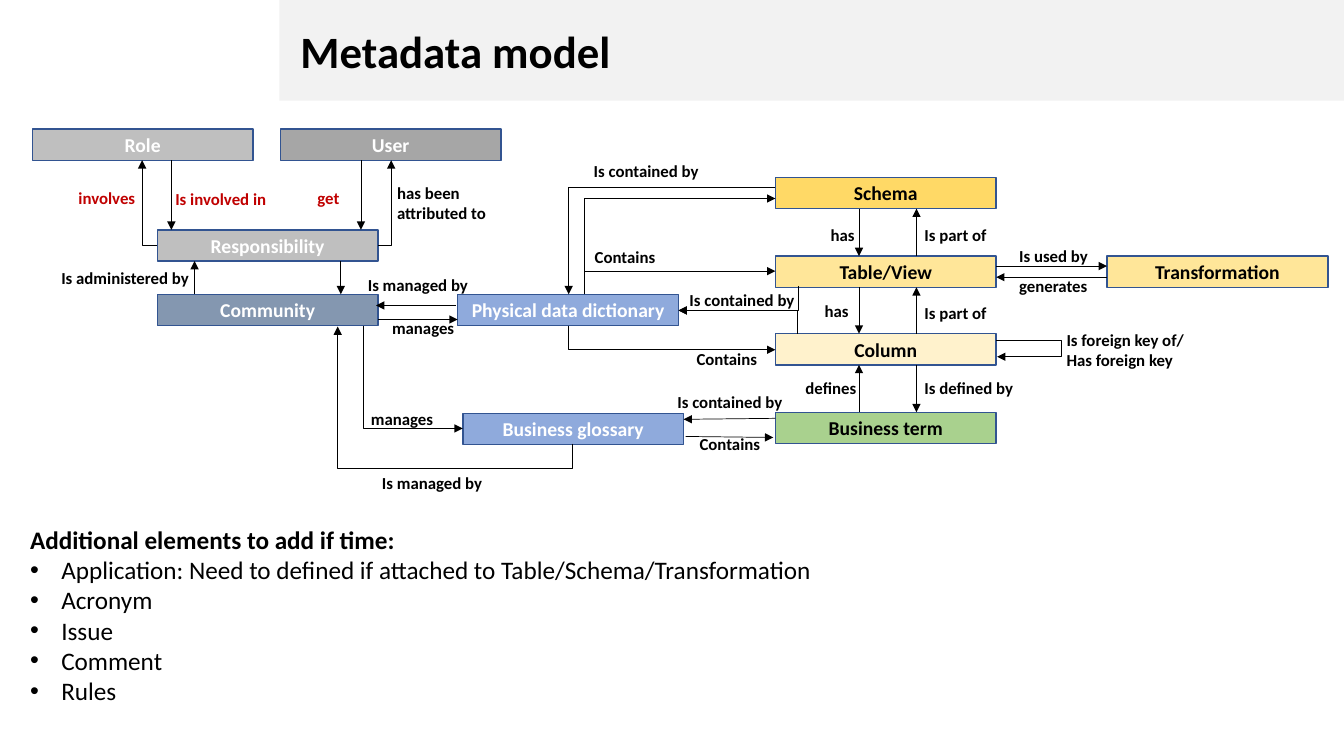
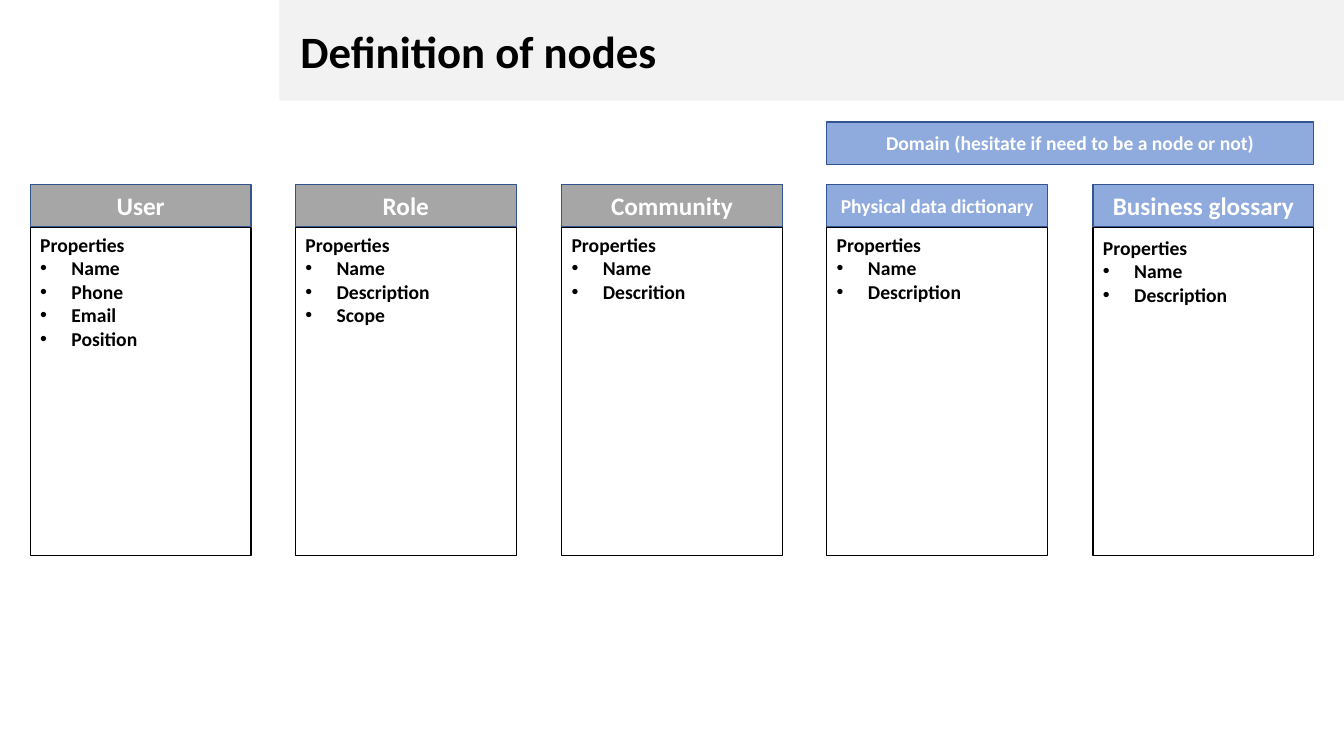
from lxml.etree import SubElement
from pptx import Presentation
from pptx.dml.color import RGBColor
from pptx.enum.shapes import MSO_CONNECTOR as Link, MSO_SHAPE as Shape
from pptx.enum.text import MSO_ANCHOR as Anchor, PP_ALIGN as Align
from pptx.oxml.ns import qn
from pptx.util import Pt

PX = 9144
FONT = "Calibri"
BLACK, WHITE, RED = "000000", "FFFFFF", "C00000"
BAND, EDGE = "F2F2F2", "325491"
BLUE, SLATE, GREY, SILVER = "8FAADC", "8497B0", "A6A6A6", "BFBFBF"
GOLD, YELLOW, CREAM, GREEN = "FFD966", "FFE699", "FFF2CC", "A9D18E"

NODE_WIDTH, NODE_HEIGHT = 219, 31
STACK_LEFT, DOWN_X, UP_X = 769, 852, 909
STACK = [
    ("Schema", 176, GOLD),
    ("Table/View", 254, YELLOW),
    ("Column", 331, CREAM),
    ("Business term", 409, GREEN),
]
NODES = [
    ("Role", 32, 128, SILVER, WHITE),
    ("User", 278, 128, GREY, WHITE),
    ("Responsibility", 156, 228, SILVER, WHITE),
    ("Community", 156, 292, SLATE, WHITE),
    ("Physical data dictionary", 454, 292, BLUE, WHITE),
    ("Business glossary", 459, 410, BLUE, WHITE),
    ("Transformation", 1098, 254, YELLOW, BLACK),
] + [(name, STACK_LEFT, top, fill, BLACK) for name, top, fill in STACK]

STRAIGHT_ARROWS = [
    (170, 159, 170, 228),
    (358, 159, 358, 228),
    (338, 259, 338, 292),
    (193, 292, 193, 259),
    (452, 303, 373, 303),
    (375, 317, 454, 317),
    (769, 415, 678, 416),
    (680, 433, 767, 434),
    (988, 264, 1098, 264),
    (1098, 275, 988, 275),
]
ACROSS_FIRST = [
    (375, 243, 388, 159),
    (156, 243, 141, 159),
    (769, 186, 564, 292),
]
DOWN_FIRST = [
    (792, 284, 673, 308),
    (791, 331, 673, 308),
    (580, 292, 769, 269),
    (580, 292, 769, 197),
    (564, 323, 769, 347),
    (360, 323, 459, 425),
]

LABELS = [
    ("involves", 68, 181, 136, RED),
    ("Is involved in", 164, 182, 144, RED),
    ("get", 305, 181, 53, RED),
    ("has been attributed to", 384, 176, 136, BLACK),
    ("Is administered by", 51, 261, 157, BLACK),
    ("Is managed by", 355, 268, 167, BLACK),
    ("manages", 379, 310, 88, BLACK),
    ("manages", 358, 401, 88, BLACK),
    ("Is managed by", 369, 464, 167, BLACK),
    ("Is contained by", 579, 155, 134, BLACK),
    ("Contains", 580, 240, 88, BLACK),
    ("Is contained by", 674, 283, 154, BLACK),
    ("Contains", 681, 341, 88, BLACK),
    ("Is contained by", 662, 384, 154, BLACK),
    ("Contains", 684, 425, 88, BLACK),
    ("has", 814, 218, 126, BLACK),
    ("has", 808, 293, 126, BLACK),
    ("defines", 789, 370, 88, BLACK),
    ("Is part of", 907, 218, 88, BLACK),
    ("Is part of", 907, 295, 88, BLACK),
    ("Is defined by", 907, 370, 119, BLACK),
    ("Is used by", 1001, 239, 97, BLACK),
    ("generates", 1001, 269, 110, BLACK),
    ("Is foreign key of/\nHas foreign key", 1048, 322, 140, BLACK),
]
EXTRAS_TITLE = "Additional elements to add if time:"
EXTRAS = [
    "Application: Need to defined if attached to Table/Schema/Transformation",
    "Acronym",
    "Issue",
    "Comment",
    "Rules",
]

CARDS = [
    ("User", GREY, 18, 5, ["Name", "Phone", "Email", "Position"]),
    ("Role", GREY, 18, 5, ["Name", "Description", "Scope"]),
    ("Community", GREY, 18, 5, ["Name", "Descrition"]),
    ("Physical data dictionary", BLUE, 14, 5, ["Name", "Description"]),
    ("Business glossary", BLUE, 18, 8, ["Name", "Description"]),
]
CARD_LEFT, CARD_SPAN = 30, 1054
HEAD_TOP, HEAD_HEIGHT = 183, 42
BODY_TOP, BODY_HEIGHT = 226, 325
DOMAIN = "Domain (hesitate if need to be a node or not)"


def px(*lengths):
    return [round(length * PX) for length in lengths]


def color(value):
    return RGBColor.from_string(value)


def add_bullet(para):
    props = para._p.get_or_add_pPr()
    indent = 31 * PX
    props.set("marL", str(indent))
    props.set("indent", str(-indent))
    SubElement(props, qn("a:buFont"), typeface="Arial")
    SubElement(props, qn("a:buChar"), char="•")


def write(box, lines, size, ink, bold=True, bullets=(), align=Align.LEFT,
          anchor=Anchor.TOP, left=10, top=5):
    frame = box.text_frame
    frame.word_wrap = True
    frame.vertical_anchor = anchor
    frame.margin_left, frame.margin_top = px(left, top)
    frame.margin_right, frame.margin_bottom = px(10, 5)
    frame.text = "\n".join([*lines, *bullets])
    for index, para in enumerate(frame.paragraphs):
        is_bullet = index >= len(lines)
        if is_bullet:
            add_bullet(para)
        para.alignment = align
        para.font.name = FONT
        para.font.size = Pt(size)
        para.font.bold = bold or not is_bullet
        para.font.color.rgb = color(ink)


def add_box(page, area, fill=None, edge=None):
    box = page.shapes.add_shape(Shape.RECTANGLE, *px(*area))
    box.shadow.inherit = False
    if fill:
        box.fill.solid()
        box.fill.fore_color.rgb = color(fill)
    else:
        box.fill.background()
    if edge:
        box.line.color.rgb = color(edge)
        box.line.width = Pt(1)
    else:
        box.line.fill.background()
    return box


def add_node(page, text, area, fill, ink=WHITE, size=14):
    box = add_box(page, area, fill, EDGE)
    write(box, [text], size, ink, align=Align.CENTER, anchor=Anchor.MIDDLE)


def add_arrow(page, ends, kind=Link.STRAIGHT):
    arrow = page.shapes.add_connector(kind, *px(*ends))
    arrow.line.color.rgb = color(BLACK)
    arrow.line.width = Pt(0.5)
    props = arrow._element.spPr
    SubElement(props.find(qn("a:ln")), qn("a:tailEnd"), type="triangle")
    SubElement(props, qn("a:effectLst"))
    return props


def add_elbow(page, ends, down_first=False, bend=None):
    x1, y1, x2, y2 = ends
    if down_first:
        mid_x, mid_y = (x1 + x2) / 2, (y1 + y2) / 2
        half_x, half_y = (x2 - x1) / 2, (y2 - y1) / 2
        ends = (mid_x - half_y, mid_y + half_x, mid_x + half_y, mid_y - half_x)
    props = add_arrow(page, ends, Link.ELBOW)
    if down_first:
        props.find(qn("a:xfrm")).set("rot", "5400000")
    shape = props.find(qn("a:prstGeom"))
    if bend is None:
        shape.set("prst", "bentConnector2")
        return
    start, end = (y1, y2) if down_first else (x1, x2)
    share = round((bend - start) / (end - start) * 100000)
    guides = shape.find(qn("a:avLst"))
    if guides is None:
        guides = SubElement(shape, qn("a:avLst"))
    SubElement(guides, qn("a:gd"), name="adj1", fmla=f"val {share}")


def add_page(deck, title):
    page = deck.slides.add_slide(deck.slide_layouts[6])
    band = add_box(page, (277, 0, 1056, 100), BAND)
    write(band, [title], 32, BLACK, anchor=Anchor.MIDDLE, left=21)
    return page


def build_model(deck):
    page = add_page(deck, "Metadata model")
    for name, left, top, fill, ink in NODES:
        add_node(page, name, (left, top, NODE_WIDTH, NODE_HEIGHT), fill, ink)

    for (upper, upper_top, _), (lower, lower_top, _) in zip(STACK, STACK[1:]):
        down_x, up_x = DOWN_X, UP_X
        if lower == "Business term":
            down_x, up_x = UP_X, DOWN_X
        bottom = upper_top + NODE_HEIGHT
        add_arrow(page, (down_x, bottom, down_x, lower_top))
        add_arrow(page, (up_x, lower_top, up_x, bottom))

    for ends in STRAIGHT_ARROWS:
        add_arrow(page, ends)
    for ends in ACROSS_FIRST:
        add_elbow(page, ends)
    for ends in DOWN_FIRST:
        add_elbow(page, ends, down_first=True)
    add_elbow(page, (568, 440, 335, 324), down_first=True, bend=465)
    add_elbow(page, (988, 338, 989, 354), bend=1054)

    for text, left, top, width, ink in LABELS:
        label = page.shapes.add_textbox(*px(left, top, width, 30))
        write(label, text.split("\n"), 12, ink)
    extras = page.shapes.add_textbox(*px(20, 515, 830, 222))
    write(extras, [EXTRAS_TITLE], 18, BLACK, bold=False, bullets=EXTRAS)


def build_definitions(deck):
    page = add_page(deck, "Definition of nodes")
    lefts = [CARD_LEFT + CARD_SPAN * i // (len(CARDS) - 1) for i in range(len(CARDS))]
    for left, (name, fill, size, inset, fields) in zip(lefts, CARDS):
        add_node(page, name, (left, HEAD_TOP, NODE_WIDTH, HEAD_HEIGHT), fill, size=size)
        body = add_box(page, (left, BODY_TOP, NODE_WIDTH, BODY_HEIGHT), edge=BLACK)
        write(body, ["Properties"], 14, BLACK, bullets=fields, top=inset)
    domain_width = lefts[4] + NODE_WIDTH - lefts[3]
    add_node(page, DOMAIN, (lefts[3], 121, domain_width, HEAD_HEIGHT), BLUE)


def main():
    deck = Presentation()
    deck.slide_width, deck.slide_height = px(1333, 750)
    build_model(deck)
    build_definitions(deck)
    deck.save("out.pptx")


if __name__ == "__main__":
    main()
